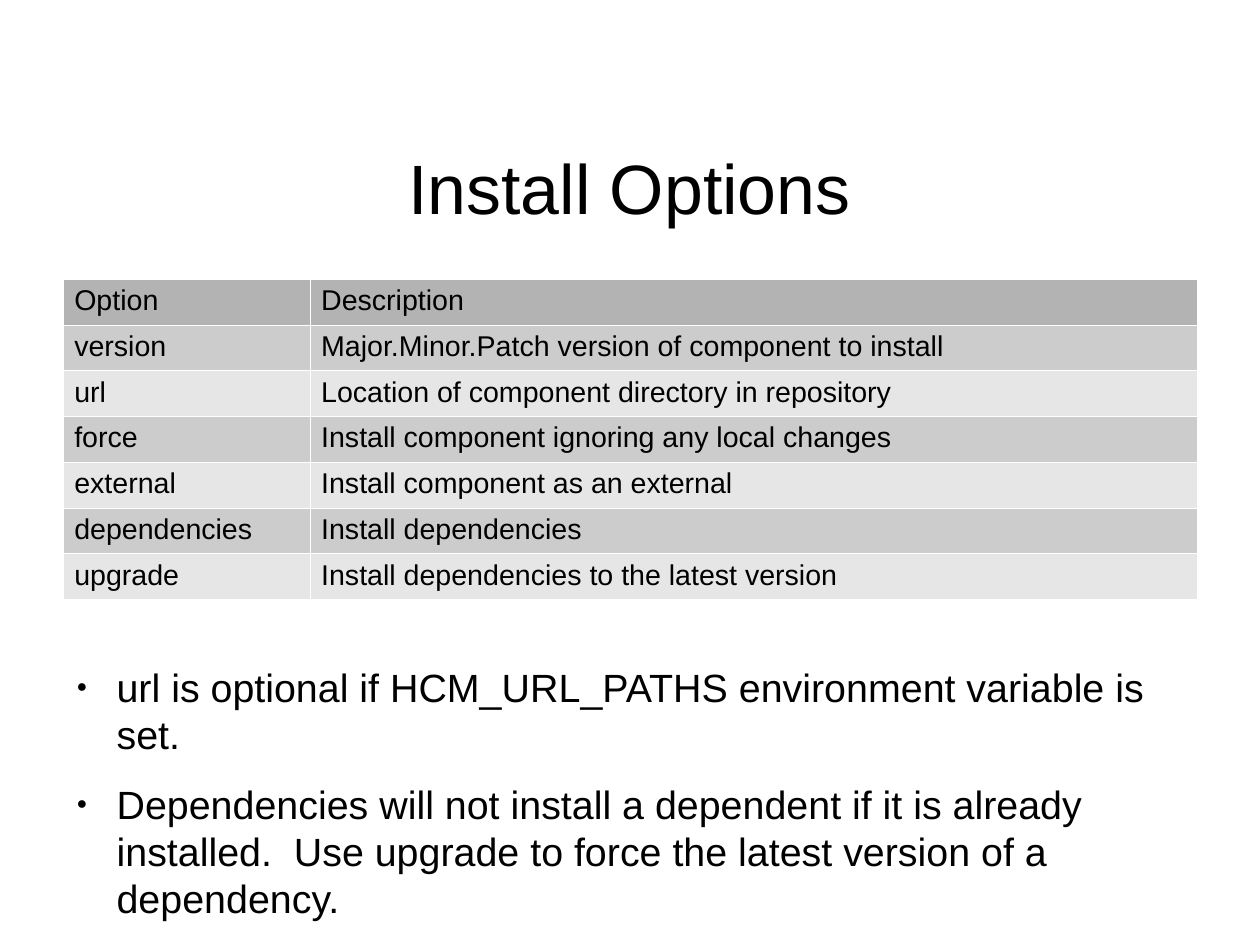
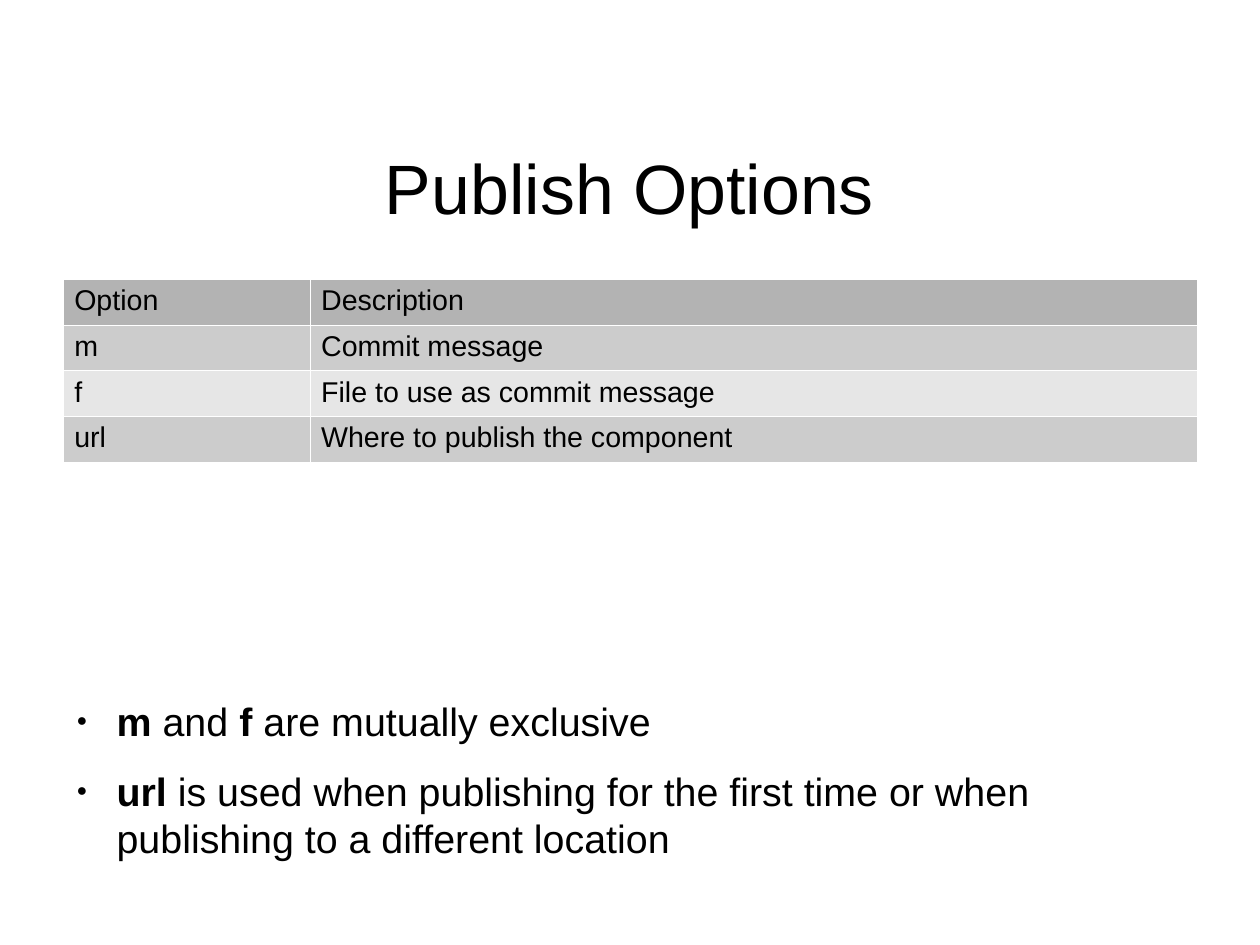
from lxml import etree
from pptx import Presentation
from pptx.dml.color import RGBColor
from pptx.enum import text
from pptx.oxml import ns
from pptx.util import Inches, Pt

COLORS = {"ink": "000000", "paper": "FFFFFF", "header": "B3B3B3",
          "odd": "CCCCCC", "even": "E6E6E6"}
FONT = "Arial"
CM_PER_INCH = 2.54
LEFT, WIDTH = 0.55, 9.92
COLUMN_WIDTHS = [2.16, 7.76]
ROW_HEIGHT = 0.37

SLIDES = [
    {
        "title": "Install Options",
        "options": [
            ("version", "Major.Minor.Patch version of component to install"),
            ("url", "Location of component directory in repository"),
            ("force", "Install component ignoring any local changes"),
            ("external", "Install component as an external"),
            ("dependencies", "Install dependencies"),
            ("upgrade", "Install dependencies to the latest version"),
        ],
        "notes_top": 5.8,
        "notes_height": 1.8,
        "notes": [
            [("url is optional if HCM_URL_PATHS environment variable is set.", False)],
            [("Dependencies will not install a dependent if it is already installed.  "
              "Use upgrade to force the latest version of a dependency.", False)],
        ],
    },
    {
        "title": "Publish Options",
        "options": [
            ("m", "Commit message"),
            ("f", "File to use as commit message"),
            ("url", "Where to publish the component"),
        ],
        "notes_top": 6.1,
        "notes_height": 1.14,
        "notes": [
            [("m", True), (" and ", False), ("f", True),
             (" are mutually exclusive", False)],
            [("url", True), (" is used when publishing for the first time or when "
                             "publishing to a different location", False)],
        ],
    },
]


def add_span(para, words, size, bold=False):
    span = para.add_run()
    span.text = words
    span.font.name = FONT
    span.font.size = Pt(size)
    span.font.bold = bold
    span.font.color.rgb = RGBColor.from_string(COLORS["ink"])


def add_frame(page, top, height):
    box = page.shapes.add_textbox(Inches(LEFT), Inches(top), Inches(WIDTH), Inches(height))
    frame = box.text_frame
    frame.word_wrap = True
    frame.margin_left = frame.margin_right = frame.margin_top = frame.margin_bottom = 0
    return frame


deck = Presentation()
deck.slide_width = Inches(28 / CM_PER_INCH)
deck.slide_height = Inches(21 / CM_PER_INCH)

for content in SLIDES:
    page = deck.slides.add_slide(deck.slide_layouts[6])
    page.background.fill.solid()
    page.background.fill.fore_color.rgb = RGBColor.from_string(COLORS["paper"])

    title = add_frame(page, 1.06, 1.14)
    title.vertical_anchor = text.MSO_ANCHOR.MIDDLE
    title.paragraphs[0].alignment = text.PP_ALIGN.CENTER
    add_span(title.paragraphs[0], content["title"], 44)

    rows = [("Option", "Description")] + content["options"]
    table = page.shapes.add_table(
        len(rows), len(COLUMN_WIDTHS), Inches(LEFT), Inches(2.44),
        Inches(WIDTH), Inches(ROW_HEIGHT * len(rows))).table
    table.first_row = False
    table.horz_banding = False
    for column, width in zip(table.columns, COLUMN_WIDTHS):
        column.width = Inches(width)
    for row_index, row in enumerate(rows):
        table.rows[row_index].height = Inches(ROW_HEIGHT)
        shade = "header" if row_index == 0 else "odd" if row_index % 2 else "even"
        for column_index, words in enumerate(row):
            cell = table.cell(row_index, column_index)
            add_span(cell.text_frame.paragraphs[0], words, 18)
            cell.fill.solid()
            cell.fill.fore_color.rgb = RGBColor.from_string(COLORS[shade])
            properties = cell._tc.get_or_add_tcPr()
            for position, side in enumerate(["lnL", "lnR", "lnT", "lnB"]):
                border = etree.Element(ns.qn("a:" + side), w=str(Pt(0.06)))
                fill = etree.SubElement(border, ns.qn("a:solidFill"))
                etree.SubElement(fill, ns.qn("a:srgbClr"), val=COLORS["paper"])
                properties.insert(position, border)

    notes = add_frame(page, content["notes_top"], content["notes_height"])
    for index, spans in enumerate(content["notes"]):
        para = notes.add_paragraph() if index else notes.paragraphs[0]
        properties = para._p.get_or_add_pPr()
        properties.set("marL", str(Inches(0.47)))
        properties.set("indent", str(Inches(-0.35)))
        bullet_color = etree.SubElement(properties, ns.qn("a:buClr"))
        etree.SubElement(bullet_color, ns.qn("a:srgbClr"), val=COLORS["ink"])
        etree.SubElement(properties, ns.qn("a:buSzPct"), val="45000")
        etree.SubElement(properties, ns.qn("a:buFont"), typeface=FONT)
        etree.SubElement(properties, ns.qn("a:buChar"), char="●")
        para.space_after = Pt(14.2)
        for words, bold in spans:
            add_span(para, words, 24.8, bold)

deck.save("out.pptx")
